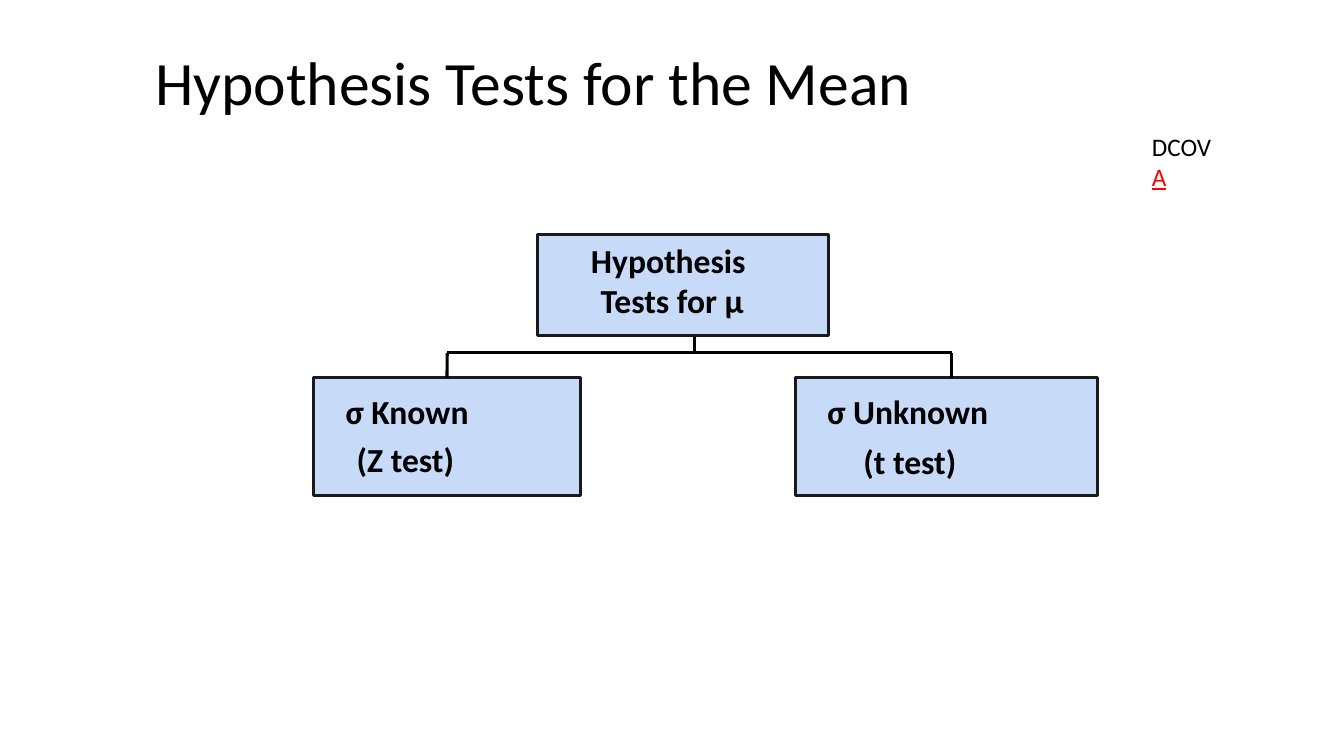
from lxml import etree
from pptx import Presentation
from pptx.dml.color import RGBColor
from pptx.enum.shapes import MSO_CONNECTOR, MSO_SHAPE
from pptx.enum.text import MSO_ANCHOR, MSO_AUTO_SIZE, PP_ALIGN
from pptx.oxml.ns import qn
from pptx.util import Cm, Pt

STRAIGHT = MSO_CONNECTOR.STRAIGHT
RECTANGLE = MSO_SHAPE.RECTANGLE
MIDDLE = MSO_ANCHOR.MIDDLE
GROW = MSO_AUTO_SIZE.SHAPE_TO_FIT_TEXT
LEFT, CENTER = PP_ALIGN.LEFT, PP_ALIGN.CENTER
TOP_SIDE = 0

FONT = "Calibri"
BLACK, RED = "000000", "FF0000"
NODE_FILL, NODE_LINE = "C7DAF7", "1A1A1A"

ROOT = (13.54, 5.92, 7.34, 2.54)
KNOWN = (7.9, 9.52, 6.73, 2.97)
UNKNOWN = (20.04, 9.52, 7.62, 2.97)


def color(value):
    return RGBColor.from_string(value)


def style_run(run, size, bold=False, shade=BLACK):
    run.font.name = FONT
    run.font.size = Pt(size)
    run.font.bold = bold
    run.font.color.rgb = color(shade)


def add_text(slide, box, text, size, bold=False, align=LEFT, wrap=False):
    frame = slide.shapes.add_textbox(*map(Cm, box)).text_frame
    frame.text = text
    frame.word_wrap = wrap
    frame.auto_size = GROW
    for paragraph in frame.paragraphs:
        paragraph.alignment = align
        for run in paragraph.runs:
            style_run(run, size, bold)
    return frame


def add_line(slide, start, end):
    line = slide.shapes.add_connector(STRAIGHT, *map(Cm, start + end))
    line.line.color.rgb = color(BLACK)
    line.line.width = Pt(2.25)
    etree.SubElement(line._element.spPr, qn("a:effectLst"))
    return line


def add_node(slide, box):
    node = slide.shapes.add_shape(RECTANGLE, *map(Cm, box))
    node.shadow.inherit = False
    node.fill.solid()
    node.fill.fore_color.rgb = color(NODE_FILL)
    node.line.color.rgb = color(NODE_LINE)
    node.line.width = Pt(2)
    return node


def add_title(slide, box):
    frame = add_text(slide, box, "Hypothesis Tests for the Mean", 44, wrap=True)
    frame.auto_size = MSO_AUTO_SIZE.NONE
    frame.vertical_anchor = MIDDLE
    frame.paragraphs[0].line_spacing = 0.8


def add_step_marker(slide, box):
    paragraph = add_text(slide, box, "DCOV", 18).paragraphs[0]
    current_step = paragraph.add_run()
    current_step.text = "A"
    style_run(current_step, 18, shade=RED)
    current_step.font.underline = True


def add_root(slide, box):
    left, top, width, height = box
    add_node(slide, box)
    add_text(slide, (left - 1.68, top, 10.16, 2.31),
             "Hypothesis \nTests for μ", 24, True, CENTER, True)


def add_case(slide, box, condition, test):
    left, top, width, height = box
    node = add_node(slide, box)
    for text, across, down, text_width in (condition, test):
        add_text(slide, (left + across, top + down, text_width, 1.27),
                 text, 24, True)
    return node


def add_tree(slide):
    trunk_x, bus_y = 17.5, 8.89
    known_x, unknown_x = 11.27, 23.98
    add_line(slide, (trunk_x, 8.26), (trunk_x, bus_y))
    add_root(slide, ROOT)
    known = add_case(slide, KNOWN, ("σ Known", 0.56, 0.2, 3.68),
                     ("(Z test)", 0.84, 1.42, 3))
    add_case(slide, UNKNOWN, ("σ Unknown", 0.56, 0.2, 4.65),
             ("(t test)", 1.47, 1.47, 2.9))
    add_line(slide, (known_x, bus_y), (unknown_x, bus_y))
    known_drop = add_line(slide, (known_x, bus_y), (known_x, KNOWN[1]))
    known_drop.end_connect(known, TOP_SIDE)
    add_line(slide, (unknown_x, bus_y), (unknown_x, UNKNOWN[1]))


def main():
    deck = Presentation()
    deck.slide_width, deck.slide_height = Cm(33.87), Cm(19.05)
    slide = deck.slides.add_slide(deck.slide_layouts[6])
    add_title(slide, (3.66, 1.27, 28.85, 1.91))
    add_tree(slide)
    add_step_marker(slide, (28.78, 3.18, 2.36, 1.02))
    deck.save("out.pptx")


if __name__ == "__main__":
    main()
